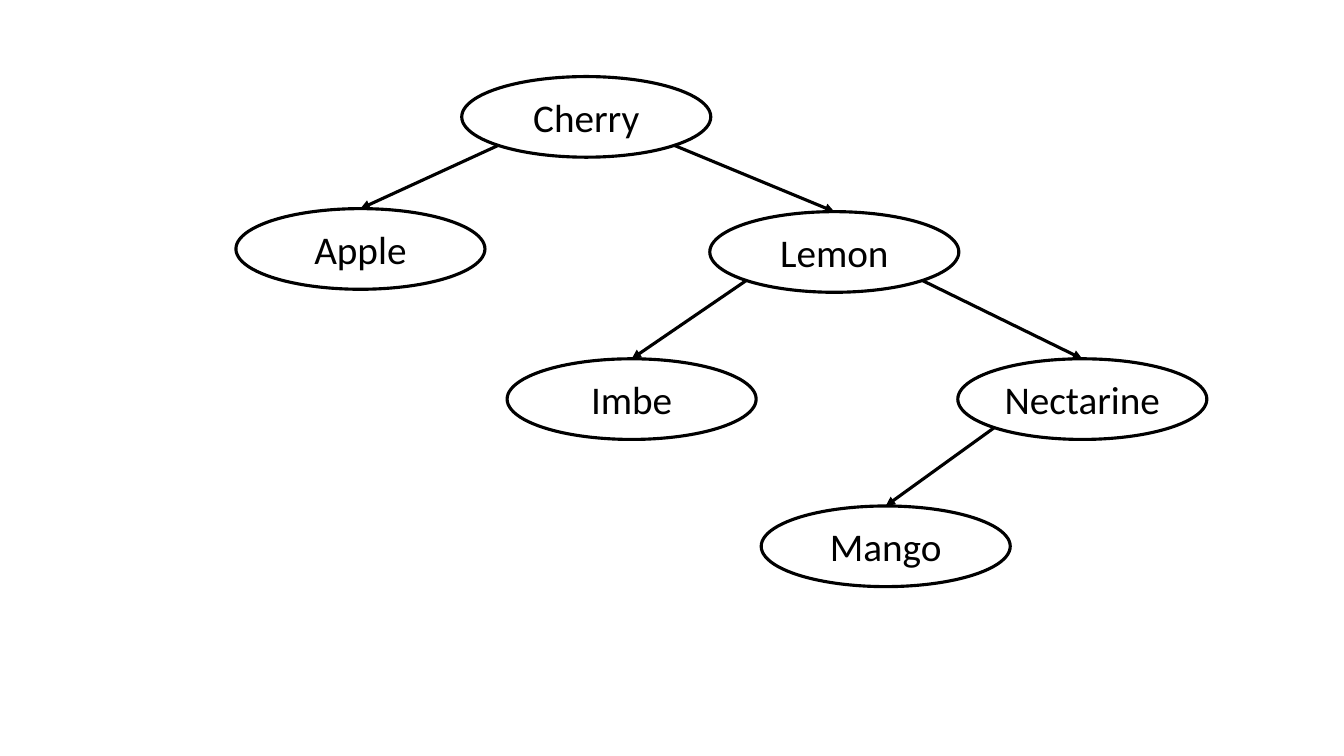
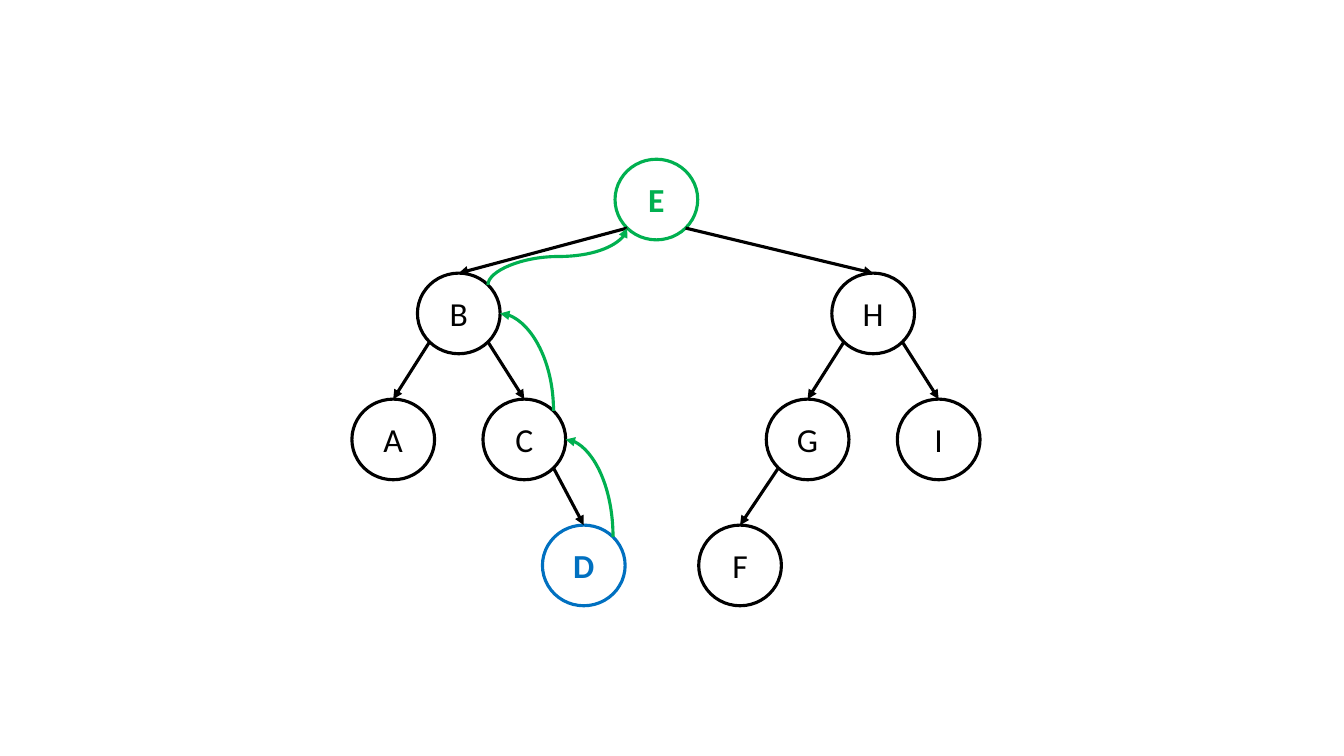
from math import cos, radians, sin

from lxml import etree
from pptx import Presentation
from pptx.dml.color import RGBColor
from pptx.enum.shapes import MSO_CONNECTOR, MSO_SHAPE
from pptx.enum.text import MSO_ANCHOR, PP_ALIGN
from pptx.oxml.ns import qn
from pptx.util import Pt

PX = 9144
FONT = "Calibri"
LINE = Pt(2.25)
OVAL = MSO_SHAPE.OVAL
STRAIGHT, CURVE = MSO_CONNECTOR.STRAIGHT, MSO_CONNECTOR.CURVE
CENTER, MIDDLE = PP_ALIGN.CENTER, MSO_ANCHOR.MIDDLE
INK = {"black": "000000", "green": "00B050", "blue": "0070C0"}
TOP, LOW_LEFT, LOW_RIGHT, RIGHT, TOP_RIGHT = 0, 3, 5, 6, 7

FRUIT = {
    "box": (234, 76),
    "node": (247, 80),
    "size": 28,
    "spots": {
        "Cherry": (224, 0),
        "Apple": (0, 131),
        "Lemon": (470, 134),
        "Imbe": (269, 280),
        "Nectarine": (716, 280),
        "Mango": (521, 426),
    },
    "links": [("Cherry", "Apple"), ("Cherry", "Lemon"), ("Lemon", "Imbe"),
              ("Lemon", "Nectarine"), ("Nectarine", "Mango")],
    "marks": {},
    "climbs": [],
}

LETTERS = {
    "box": (349, 158),
    "node": (82, 80),
    "size": 24,
    "spots": {
        "E": (261, 0),
        "B": (65, 113),
        "H": (476, 113),
        "A": (0, 238),
        "C": (130, 238),
        "G": (411, 238),
        "I": (541, 238),
        "D": (189, 363),
        "F": (344, 363),
    },
    "links": [("E", "B"), ("E", "H"), ("B", "A"), ("B", "C"), ("C", "D"),
              ("H", "G"), ("H", "I"), ("G", "F")],
    "marks": {"E": "green", "D": "blue"},
    "climbs": [("D", "C", RIGHT), ("C", "B", RIGHT), ("B", "E", LOW_LEFT)],
}


def hue(name):
    return RGBColor.from_string(INK[name])


def add_node(slide, text, left, top, size, points, tone, bold):
    node = slide.shapes.add_shape(
        OVAL, left * PX, top * PX, size[0] * PX, size[1] * PX)
    node.shadow.inherit = False
    node.fill.background()
    node.line.color.rgb = hue(tone)
    node.line.width = LINE
    frame = node.text_frame
    frame.text = text
    frame.vertical_anchor = MIDDLE
    frame.margin_left = frame.margin_right = 0
    para = frame.paragraphs[0]
    para.alignment = CENTER
    font = para.runs[0].font
    font.name, font.size, font.bold = FONT, Pt(points), bold
    font.color.rgb = hue(tone)
    return node


def site(node, index):
    angle = radians(90 + 45 * index)
    x = node.left + node.width / 2 * (1 + cos(angle))
    y = node.top + node.height / 2 * (1 - sin(angle))
    return round(x), round(y)


def glue(end, node, index):
    end.set("id", str(node.shape_id))
    end.set("idx", str(index))


def add_arrow(slide, kind, ends, tone):
    arrow = slide.shapes.add_connector(kind, *ends)
    arrow.line.color.rgb = hue(tone)
    arrow.line.width = LINE
    props = arrow._element.spPr
    tail = etree.SubElement(props.find(qn("a:ln")), qn("a:tailEnd"))
    tail.set("type", "triangle")
    etree.SubElement(props, qn("a:effectLst"))
    return arrow


def add_link(slide, parent, child):
    start = LOW_LEFT if child.left < parent.left else LOW_RIGHT
    ends = site(parent, start) + site(child, TOP)
    arrow = add_arrow(slide, STRAIGHT, ends, "black")
    arrow.end_connect(child, TOP)
    joints = arrow._element.nvCxnSpPr.cNvCxnSpPr
    glue(joints.get_or_add_stCxn(), parent, start)


def add_climb(slide, child, parent, stop):
    x1, y1 = site(child, TOP_RIGHT)
    x2, y2 = site(parent, stop)
    mid_x, mid_y = (x1 + x2) // 2, (y1 + y2) // 2
    half_w, half_h = abs(y2 - y1) // 2, abs(x2 - x1) // 2
    ends = (mid_x - half_w, mid_y - half_h, mid_x + half_w, mid_y + half_h)
    arrow = add_arrow(slide, CURVE, ends, "green")
    props = arrow._element.spPr
    turn = props.find(qn("a:xfrm"))
    turn.set("flipV", "1")
    if stop == RIGHT:
        turn.set("rot", str(270 * 60000))
        props.find(qn("a:prstGeom")).set("prst", "curvedConnector2")
    else:
        turn.set("rot", str(90 * 60000))
        turn.set("flipH", "1")
    joints = arrow._element.nvCxnSpPr.cNvCxnSpPr
    glue(joints.get_or_add_stCxn(), child, TOP_RIGHT)
    glue(joints.get_or_add_endCxn(), parent, stop)


def draw_tree(slide, tree):
    left, top = tree["box"]
    marks = tree["marks"]
    nodes = {
        name: add_node(slide, name, left + x, top + y, tree["node"],
                       tree["size"], marks.get(name, "black"), name in marks)
        for name, (x, y) in tree["spots"].items()
    }
    for parent, child in tree["links"]:
        add_link(slide, nodes[parent], nodes[child])
    for child, parent, stop in tree["climbs"]:
        add_climb(slide, nodes[child], nodes[parent], stop)


def main():
    deck = Presentation()
    deck.slide_width, deck.slide_height = 1333 * PX, 750 * PX
    for tree in (FRUIT, LETTERS):
        draw_tree(deck.slides.add_slide(deck.slide_layouts[6]), tree)
    deck.save("out.pptx")


if __name__ == "__main__":
    main()
